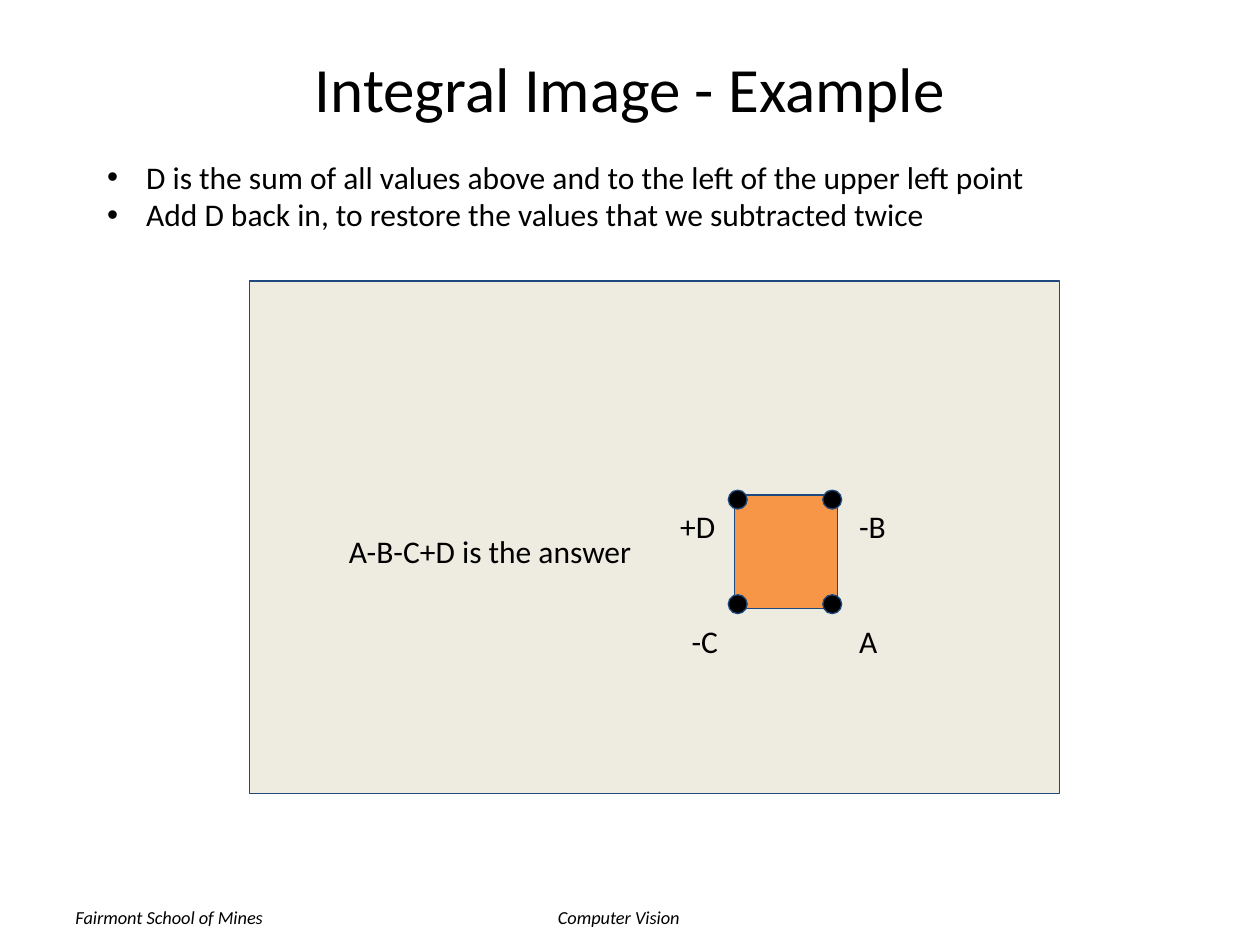
import pptx
import pptx.util
import pptx.dml.color
import pptx.enum.shapes
import pptx.enum.text

Inches, Pt = pptx.util.Inches, pptx.util.Pt
SHAPE = pptx.enum.shapes.MSO_SHAPE
ANCHOR = pptx.enum.text.MSO_ANCHOR
ALIGN = pptx.enum.text.PP_ALIGN

COLORS = {"text": "000000", "line": "1F497D", "field": "EEECE1",
          "patch": "F79646", "dot": "000000"}


def color(name):
    return pptx.dml.color.RGBColor.from_string(COLORS[name])


def place(shape, box):
    shape.left, shape.top, shape.width, shape.height = map(Inches, box)


def style(para, size, italic=False):
    para.font.name = "Calibri"
    para.font.size = Pt(size)
    para.font.italic = italic
    para.font.color.rgb = color("text")


def add_text(slide, box, text, size=18, inset=0.05, wrap=True, italic=False):
    """Add one line of text; inset is the top and bottom margin."""
    frame = slide.shapes.add_textbox(*map(Inches, box)).text_frame
    frame.word_wrap = wrap
    frame.margin_top = frame.margin_bottom = Inches(inset)
    frame.text = text
    style(frame.paragraphs[0], size, italic)


def add_solid(slide, kind, box, fill):
    shape = slide.shapes.add_shape(kind, *map(Inches, box))
    shape.shadow.inherit = False
    shape.fill.solid()
    shape.fill.fore_color.rgb = color(fill)
    shape.line.color.rgb = color("line")
    shape.line.width = Pt(0.75)


def add_title(slide, box, text):
    title = slide.shapes.title
    place(title, box)
    title.text_frame.text = text
    title.text_frame.vertical_anchor = ANCHOR.MIDDLE
    para = title.text_frame.paragraphs[0]
    para.alignment = ALIGN.CENTER
    style(para, 36)


def add_list(slide, box, lines):
    body = slide.placeholders[1]
    place(body, box)
    frame = body.text_frame
    frame.vertical_anchor = ANCHOR.TOP
    frame.auto_size = pptx.enum.text.MSO_AUTO_SIZE.NONE
    frame.text = "\n".join(lines)
    for para in frame.paragraphs:
        style(para, 18)
        para.space_before = Pt(0)
        props = para._p.get_or_add_pPr()
        props.set("marL", str(Inches(0.31)))
        props.set("indent", str(-Inches(0.31)))


def add_patch(slide, box):
    """Add the summed patch with a dot and a label at each corner."""
    left, top, width, height = box
    add_solid(slide, SHAPE.RECTANGLE, box, "patch")
    size = 0.15
    for x in (left - 0.05, left + width - 0.12):
        for y in (top - 0.04, top + height - 0.11):
            add_solid(slide, SHAPE.OVAL, (x, y, size, size), "dot")
    right, upper, lower = left + 0.89, top - 0.01, top + 0.91
    labels = (("A", right, lower, 0.36), ("-B", right, upper, 0.7),
              ("-C", left - 0.44, lower, 0.7), ("+D", left - 0.53, upper, 0.54))
    for text, x, y, wide in labels:
        add_text(slide, (x, y, wide, 0.68), text, inset=0.1)


def add_field(slide, box):
    """Add the whole image area, with the patch and the answer inside."""
    left, top = box[:2]
    add_solid(slide, SHAPE.RECTANGLE, box, "field")
    add_patch(slide, (left + 3.85, top + 1.7, 0.82, 0.9))
    add_text(slide, (left + 0.69, top + 1.94, 2.47, 0.4),
             "A-B-C+D is the answer", wrap=False)


def add_footer(slide, box):
    left, top, width, height = box
    add_text(slide, (left + 3.83, top, 1.18, height), "Computer Vision",
             10.5, wrap=False, italic=True)
    add_text(slide, (left, top, 1.71, height), "Fairmont School of Mines",
             10.5, wrap=False, italic=True)


def main():
    deck = pptx.Presentation()
    deck.slide_width, deck.slide_height = Inches(10), Inches(7.5)
    slide = deck.slides.add_slide(deck.slide_layouts[1])
    add_footer(slide, (0.5, 7.14, 9, 0.28))
    add_title(slide, (0.5, 0.3, 9, 0.78), "Integral Image - Example")
    add_list(slide, (0.75, 1.2, 8, 0.71), (
        "D is the sum of all values above and to the left of the upper left point",
        "Add D back in, to restore the values that we subtracted twice"))
    add_field(slide, (1.98, 2.23, 6.43, 4.07))
    deck.save("out.pptx")


if __name__ == "__main__":
    main()
